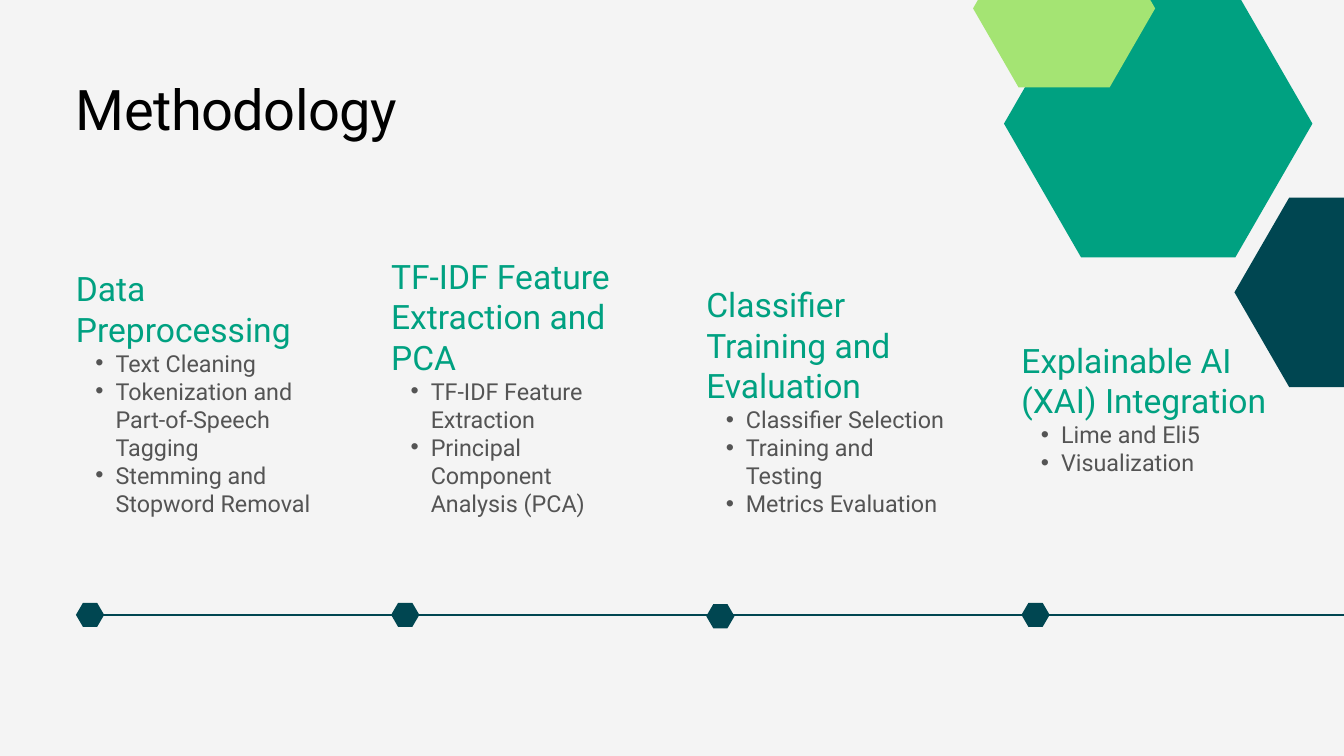
"""Build the Methodology timeline slide."""
from dataclasses import dataclass

from lxml.etree import SubElement
from pptx import Presentation
from pptx.dml.color import RGBColor as Color
from pptx.enum.shapes import MSO_CONNECTOR as Connector
from pptx.enum.text import MSO_AUTO_SIZE as AutoSize
from pptx.oxml.ns import qn
from pptx.slide import Slide
from pptx.text.text import TextFrame, _Paragraph as Paragraph
from pptx.util import Inches, Pt


@dataclass(frozen=True)
class TextStyle:
    size: float
    color: str
    leading: float


@dataclass(frozen=True)
class Theme:
    font: str = "Roboto"
    background: str = "F4F4F4"
    dark: str = "004651"
    green: str = "00A181"
    lime: str = "A4E473"
    title: TextStyle = TextStyle(60, "000000", 72)
    heading: TextStyle = TextStyle(36, "00A181", 43.2)
    bullet: TextStyle = TextStyle(25, "545454", 30)


@dataclass(frozen=True)
class Hexagon:
    left: float
    top: float
    width: float
    height: float
    color: str


@dataclass(frozen=True)
class Stage:
    heading: str
    bullets: tuple[str, ...]
    top: float
    marker_top: float = 8.97


THEME = Theme()
SLIDE_WIDTH, SLIDE_HEIGHT = 20, 11.25
STAGE_LEFT, STAGE_PITCH, STAGE_WIDTH, STAGE_BOTTOM = 1.13, 4.69, 3.68, 7.69
TIMELINE_LEFT, TIMELINE_Y = 1.39, 9.15
MARKER_WIDTH, MARKER_HEIGHT = 0.42, 0.36
BULLET_MARGIN, BULLET_HANG = 0.59, 0.3

STAGES = (
    Stage("Data Preprocessing",
          ("Text Cleaning", "Tokenization and Part-of-Speech Tagging",
           "Stemming and Stopword Removal"), 3.99),
    Stage("TF-IDF Feature Extraction and PCA",
          ("TF-IDF Feature Extraction", "Principal Component Analysis (PCA)"), 3.81),
    Stage("Classifier Training and Evaluation",
          ("Classifier Selection", "Training and Testing", "Metrics Evaluation"),
          4.23, 8.99),
    Stage("Explainable AI (XAI) Integration", ("Lime and Eli5", "Visualization"), 5.06),
)
DECORATIONS = (
    Hexagon(18.37, 2.94, 3.26, 2.82, THEME.dark),
    Hexagon(14.94, -0.15, 4.59, 3.98, THEME.green),
    Hexagon(14.48, -1.05, 2.71, 2.35, THEME.lime),
)


def add_text_box(slide: Slide, left: float, top: float, width: float, height: float) -> TextFrame:
    """Add an unpadded, wrapping text box and return its frame."""
    box = slide.shapes.add_textbox(Inches(left), Inches(top), Inches(width), Inches(height))
    frame = box.text_frame
    frame.word_wrap = True
    frame.auto_size = AutoSize.SHAPE_TO_FIT_TEXT
    frame.margin_left = frame.margin_top = frame.margin_right = frame.margin_bottom = 0
    return frame


def write(para: Paragraph, text: str, style: TextStyle) -> None:
    """Fill a paragraph with text in the given style."""
    para.text = text
    para.line_spacing = Pt(style.leading)
    para.font.name = THEME.font
    para.font.size = Pt(style.size)
    para.font.color.rgb = Color.from_string(style.color)


def add_bullet(frame: TextFrame, text: str) -> None:
    """Append one second-level bullet with a hanging indent."""
    para = frame.add_paragraph()
    para.level = 1
    properties = para._p.get_or_add_pPr()
    properties.set("marL", str(Inches(BULLET_MARGIN)))
    properties.set("indent", str(-Inches(BULLET_HANG)))
    SubElement(properties, qn("a:buFont"), typeface="Arial")
    SubElement(properties, qn("a:buChar"), char="•")
    write(para, text, THEME.bullet)


def add_hexagon(slide: Slide, hexagon: Hexagon) -> None:
    """Draw a flat-topped hexagon with corners at quarter widths."""
    corners = ((1, 0.5), (0.75, 1), (0.25, 1), (0, 0.5), (0.25, 0), (0.75, 0))
    points = [(Inches(hexagon.left + x * hexagon.width),
               Inches(hexagon.top + y * hexagon.height)) for x, y in corners]
    builder = slide.shapes.build_freeform(*points[0])
    builder.add_line_segments(points[1:], close=True)
    shape = builder.convert_to_shape()
    shape.shadow.inherit = False
    shape.fill.solid()
    shape.fill.fore_color.rgb = Color.from_string(hexagon.color)
    shape.line.fill.background()


def add_timeline(slide: Slide) -> None:
    """Draw the line that joins the stage markers."""
    line = slide.shapes.add_connector(Connector.STRAIGHT, Inches(TIMELINE_LEFT), Inches(TIMELINE_Y),
                                      Inches(SLIDE_WIDTH), Inches(TIMELINE_Y))
    line.line.color.rgb = Color.from_string(THEME.dark)
    line.line.width = Pt(1.5)
    SubElement(line._element.spPr, qn("a:effectLst"))


def add_stage(slide: Slide, stage: Stage, left: float) -> None:
    """Draw a stage's text and its timeline marker."""
    frame = add_text_box(slide, left, stage.top, STAGE_WIDTH, STAGE_BOTTOM - stage.top)
    write(frame.paragraphs[0], stage.heading, THEME.heading)
    for bullet in stage.bullets:
        add_bullet(frame, bullet)
    add_hexagon(slide, Hexagon(left, stage.marker_top, MARKER_WIDTH, MARKER_HEIGHT, THEME.dark))


def add_title(slide: Slide, text: str) -> None:
    """Write the slightly tightened slide title."""
    para = add_text_box(slide, STAGE_LEFT, 1.11, 6.23, 1.01).paragraphs[0]
    write(para, text, THEME.title)
    for span in para.runs:
        span._r.get_or_add_rPr().set("spc", "-60")


def main() -> None:
    """Build and save the deck."""
    deck = Presentation()
    deck.slide_width, deck.slide_height = Inches(SLIDE_WIDTH), Inches(SLIDE_HEIGHT)
    page = deck.slides.add_slide(deck.slide_layouts[6])
    page.background.fill.solid()
    page.background.fill.fore_color.rgb = Color.from_string(THEME.background)
    add_timeline(page)
    for index, stage in enumerate(STAGES):
        add_stage(page, stage, STAGE_LEFT + index * STAGE_PITCH)
    add_title(page, "Methodology")
    for hexagon in DECORATIONS:
        add_hexagon(page, hexagon)
    deck.save("out.pptx")


if __name__ == "__main__":
    main()
